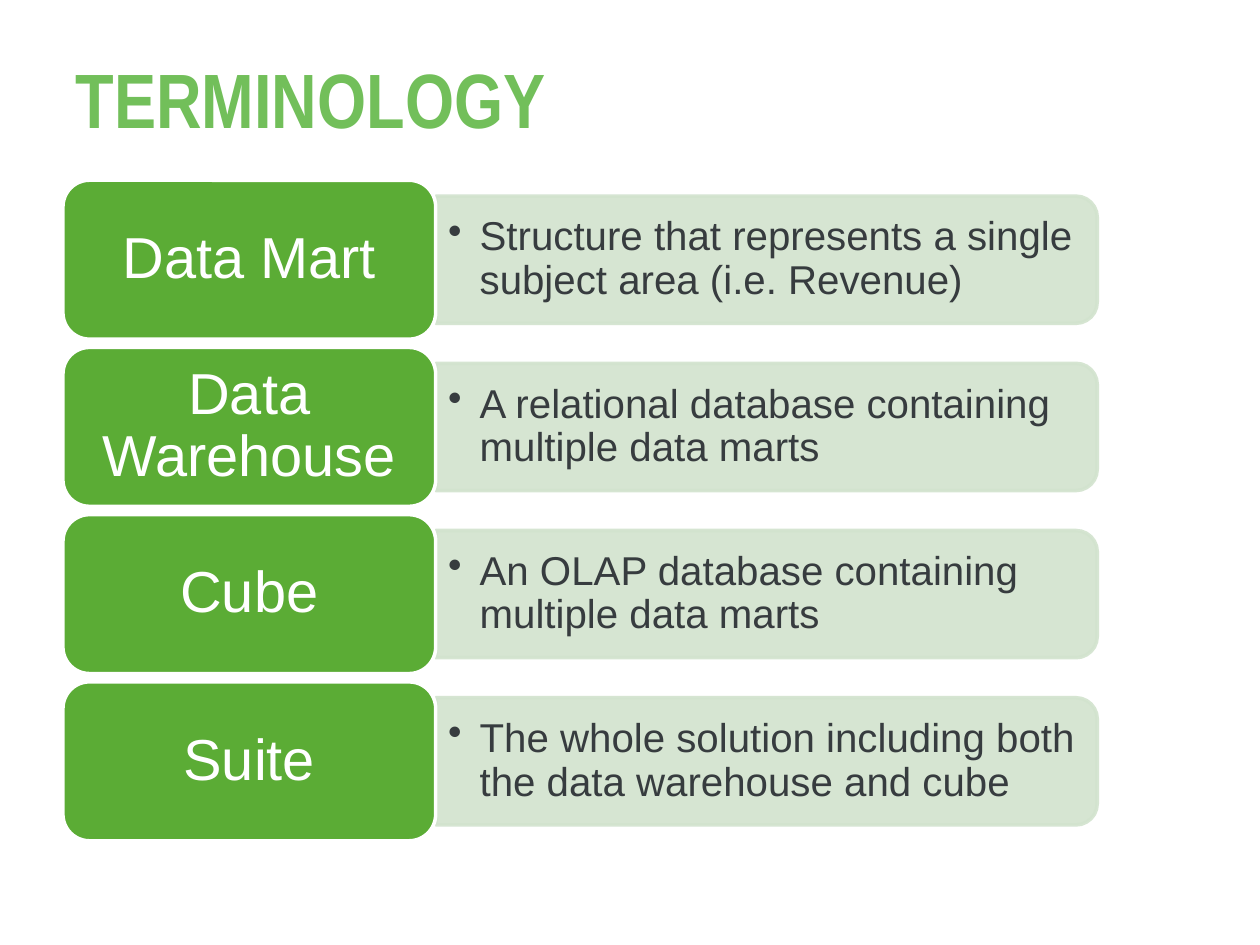
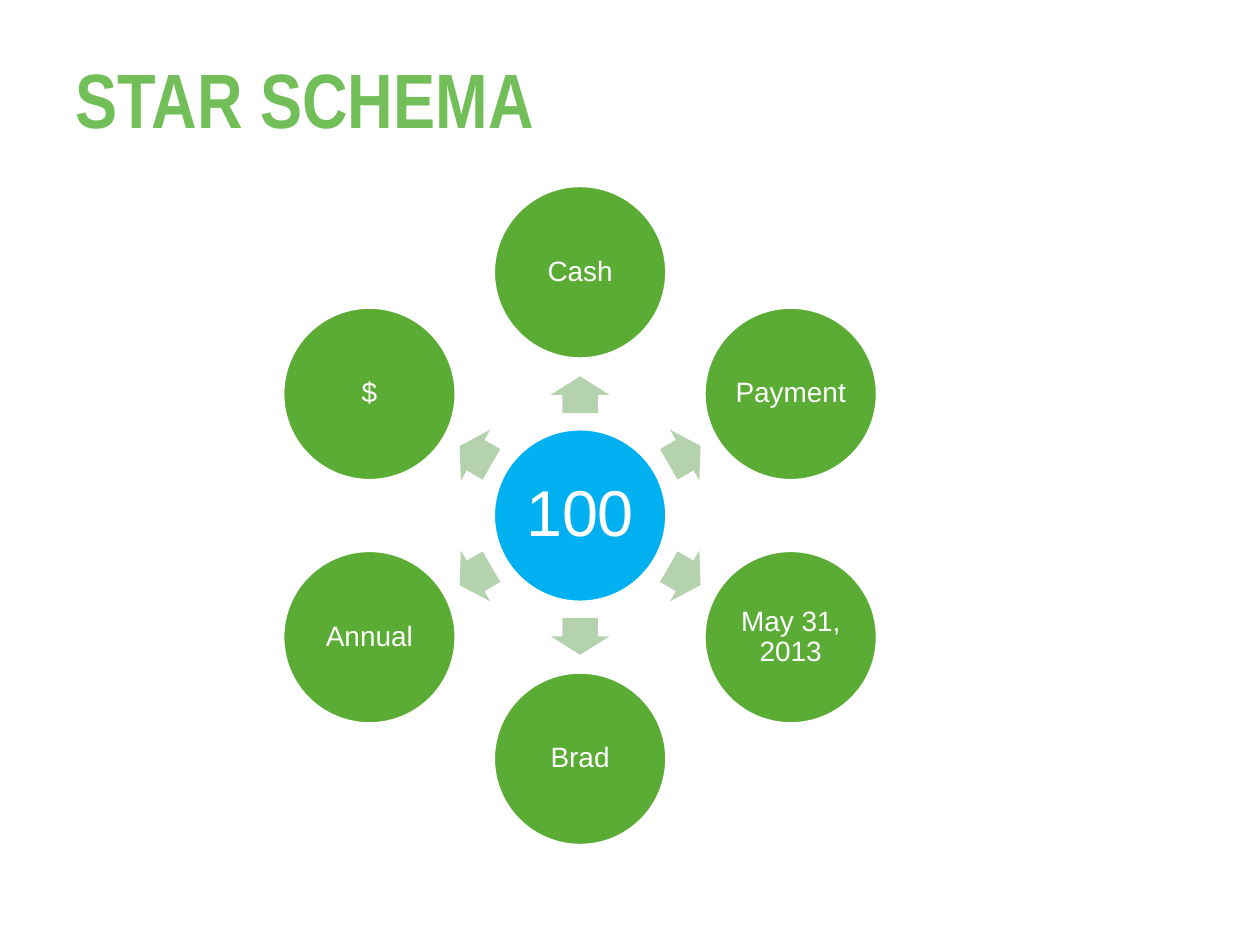
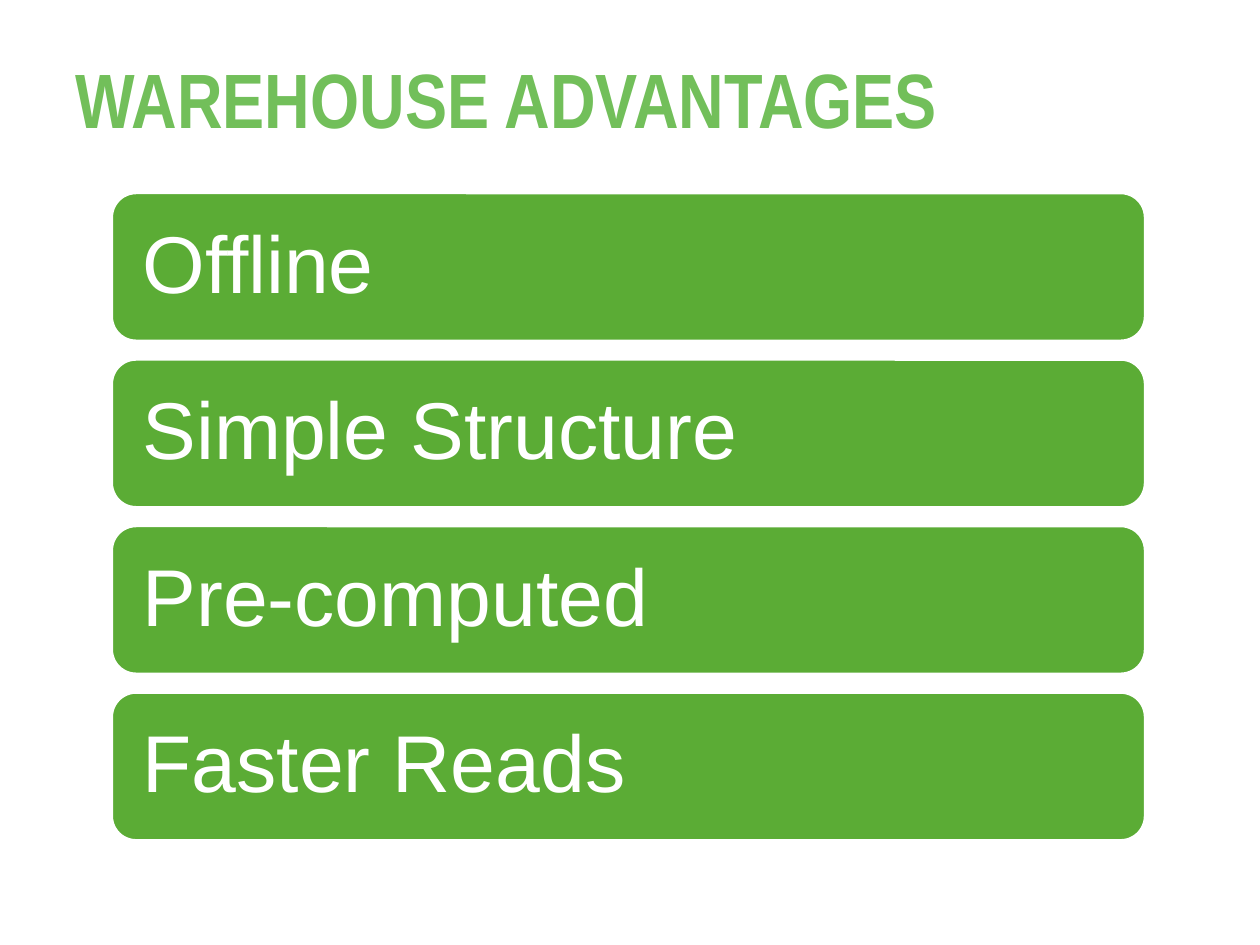
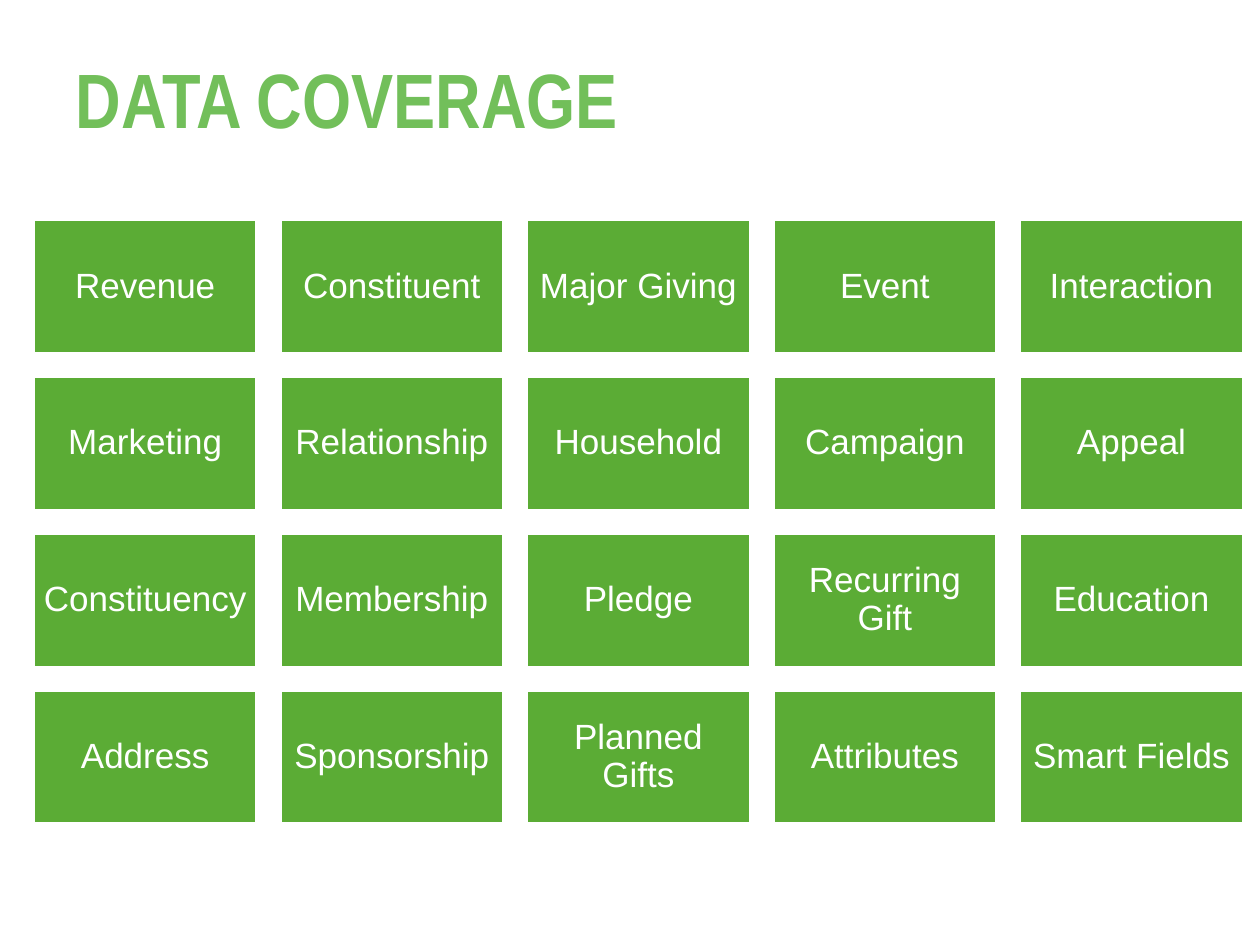
from dataclasses import dataclass
from itertools import product
from math import cos, radians, sin

from pptx import Presentation
from pptx.dml.color import RGBColor
from pptx.enum.shapes import MSO_SHAPE as Preset
from pptx.enum.text import MSO_ANCHOR as Anchor, MSO_AUTO_SIZE as AutoSize, PP_ALIGN as Align
from pptx.oxml.ns import qn
from pptx.shapes.autoshape import Shape
from pptx.slide import Slide
from pptx.util import Pt
from lxml.etree import SubElement

COLORS = {
    "title": "72BF5A",
    "block": "5BAC35",
    "hub": "00B0F0",
    "arrow": "B5D2AE",
    "bar": "D2E3CE",
    "ink": "373C3F",
    "white": "FFFFFF",
}
BODY_FONT = "Arial"
TITLE_FONT = "Arial Narrow"
TITLE_ONLY = 5
BULLET_INDENT = 18


@dataclass(frozen=True)
class Box:
    """A frame in points."""
    left: float
    top: float
    width: float
    height: float

    @classmethod
    def centered(cls, x: float, y: float, width: float, height: float) -> "Box":
        return cls(x - width / 2, y - height / 2, width, height)

    def shifted(self, dx: float = 0, dy: float = 0) -> "Box":
        return Box(self.left + dx, self.top + dy, self.width, self.height)

    def lengths(self) -> tuple[Pt, Pt, Pt, Pt]:
        return Pt(self.left), Pt(self.top), Pt(self.width), Pt(self.height)


@dataclass(frozen=True)
class Term:
    name: str
    meaning: str


TERMS = [
    Term("Data Mart", "Structure that represents a single subject area (i.e. Revenue)"),
    Term("Data Warehouse", "A relational database containing multiple data marts"),
    Term("Cube", "An OLAP database containing multiple data marts"),
    Term("Suite", "The whole solution including both the data warehouse and cube"),
]
FACT = "100"
DIMENSIONS = ["Cash", "Payment", "May 31, 2013", "Brad", "Annual", "$"]
ADVANTAGES = ["Offline", "Simple Structure", "Pre-computed", "Faster Reads"]
COVERAGE = [
    ["Revenue", "Constituent", "Major Giving", "Event", "Interaction"],
    ["Marketing", "Relationship", "Household", "Campaign", "Appeal"],
    ["Constituency", "Membership", "Pledge", "Recurring Gift", "Education"],
    ["Address", "Sponsorship", "Planned Gifts", "Attributes", "Smart Fields"],
]


def rgb(color: str) -> RGBColor:
    return RGBColor.from_string(COLORS[color])


def write(shape: Shape, text: str, *, size: float, color: str = "white",
          font: str = BODY_FONT, bold: bool = False, align: Align = Align.CENTER,
          anchor: Anchor = Anchor.MIDDLE, margins: tuple[float, float] = (7.2, 3.6),
          spacing: float = 0.9, bullet: bool = False) -> None:
    """Fill a shape with one paragraph; margins are (sides, top and bottom)."""
    frame = shape.text_frame
    frame.word_wrap = True
    frame.auto_size = AutoSize.NONE
    frame.vertical_anchor = anchor
    frame.margin_left = frame.margin_right = Pt(margins[0])
    frame.margin_top = frame.margin_bottom = Pt(margins[1])
    frame.text = text
    paragraph = frame.paragraphs[0]
    if bullet:
        properties = paragraph._p.get_or_add_pPr()
        properties.set("marL", str(Pt(BULLET_INDENT)))
        properties.set("indent", str(-Pt(BULLET_INDENT)))
        SubElement(properties, qn("a:buChar"), char="•")
    paragraph.alignment = align
    paragraph.line_spacing = spacing
    run_font = paragraph.runs[0].font
    run_font.name, run_font.size, run_font.bold = font, Pt(size), bold
    run_font.color.rgb = rgb(color)


def add_block(slide: Slide, preset: Preset, box: Box, *, fill: str = "block",
              line: str | None = "white", rotation: float = 0) -> Shape:
    block = slide.shapes.add_shape(preset, *box.lengths())
    block.shadow.inherit = False
    block.rotation = rotation
    block.fill.solid()
    block.fill.fore_color.rgb = rgb(fill)
    if line:
        block.line.color.rgb = rgb(line)
        block.line.width = Pt(2)
    else:
        block.line.fill.background()
    return block


def set_opacity(shape: Shape, percent: int) -> None:
    """Apply one opacity to both the fill and the line."""
    for color in shape._element.spPr.iter(qn("a:srgbClr")):
        SubElement(color, qn("a:alpha"), val=str(percent * 1000))


def add_titled_slide(deck: Presentation, title: str, title_height: float) -> Slide:
    slide = deck.slides.add_slide(deck.slide_layouts[TITLE_ONLY])
    heading = slide.shapes.title
    heading.left, heading.top, heading.width, heading.height = Box(
        36, 21.6, 648, title_height).lengths()
    write(heading, title, size=44, color="title", font=TITLE_FONT, bold=True,
          align=Align.LEFT, anchor=Anchor.TOP, margins=(7.2, 8), spacing=1)
    return slide


def add_terminology(deck: Presentation) -> None:
    slide = add_titled_slide(deck, "TERMINOLOGY", 90)
    first_label = Box(36, 103, 213, 90.8)
    bar_width, bar_height = 378, 72.7
    for row, term in enumerate(TERMS):
        label_box = first_label.shifted(dy=row * 95.55)
        label_right = label_box.left + label_box.width
        middle = label_box.top + label_box.height / 2
        bar_center = label_right + bar_width / 2
        bar = add_block(slide, Preset.ROUND_2_SAME_RECTANGLE,
                        Box.centered(bar_center, middle, bar_height, bar_width),
                        fill="bar", line="bar", rotation=90)
        set_opacity(bar, 90)
        meaning_box = Box(label_right, middle - 32.8, 375, 65.6)
        meaning = slide.shapes.add_textbox(*meaning_box.lengths())
        write(meaning, term.meaning, size=23, color="ink", align=Align.LEFT, bullet=True)
        label = add_block(slide, Preset.ROUNDED_RECTANGLE, label_box)
        write(label, term.name, size=33, margins=(10, 5))


def add_star_schema(deck: Presentation) -> None:
    slide = add_titled_slide(deck, "STAR SCHEMA", 90)
    hub_x, hub_y, diameter = 331.5, 294.6, 99.2
    orbit, arrow_orbit = 139, 69

    def at_angle(angle: float, radius: float) -> tuple[float, float]:
        return hub_x + radius * cos(radians(angle)), hub_y + radius * sin(radians(angle))

    hub = add_block(slide, Preset.OVAL, Box.centered(hub_x, hub_y, diameter, diameter),
                    fill="hub")
    write(hub, FACT, size=37, margins=(3.6, 3.6))
    for step, dimension in enumerate(DIMENSIONS):
        angle = step * 360 / len(DIMENSIONS) - 90
        arrow = add_block(slide, Preset.RIGHT_ARROW,
                          Box.centered(*at_angle(angle, arrow_orbit), 21, 33.6),
                          fill="arrow", line=None, rotation=angle % 360)
        arrow.adjustments[0] = 0.6
        arrow.adjustments[1] = 0.5
        satellite = add_block(slide, Preset.OVAL,
                              Box.centered(*at_angle(angle, orbit), diameter, diameter))
        write(satellite, dimension, size=16, margins=(1.5, 1.5))


def add_advantages(deck: Presentation) -> None:
    slide = add_titled_slide(deck, "WAREHOUSE ADVANTAGES", 68.4)
    first_band = Box(63.6, 110, 591, 85)
    for row, advantage in enumerate(ADVANTAGES):
        band = add_block(slide, Preset.ROUNDED_RECTANGLE, first_band.shifted(dy=row * 95.15))
        write(band, advantage, size=46, align=Align.LEFT, margins=(13.8, 13.8))


def add_coverage(deck: Presentation) -> None:
    slide = add_titled_slide(deck, "DATA COVERAGE", 68.4)
    first_area = Box(19, 125.4, 128, 76.8)
    for row, column in product(range(len(COVERAGE)), range(len(COVERAGE[0]))):
        area = add_block(slide, Preset.RECTANGLE,
                         first_area.shifted(column * 140.9, row * 89.6))
        write(area, COVERAGE[row][column], size=20, margins=(5.5, 5.5))


def main() -> None:
    deck = Presentation()
    deck.slide_width, deck.slide_height = Pt(720), Pt(540)
    add_terminology(deck)
    add_star_schema(deck)
    add_advantages(deck)
    add_coverage(deck)
    deck.save("out.pptx")


if __name__ == "__main__":
    main()
